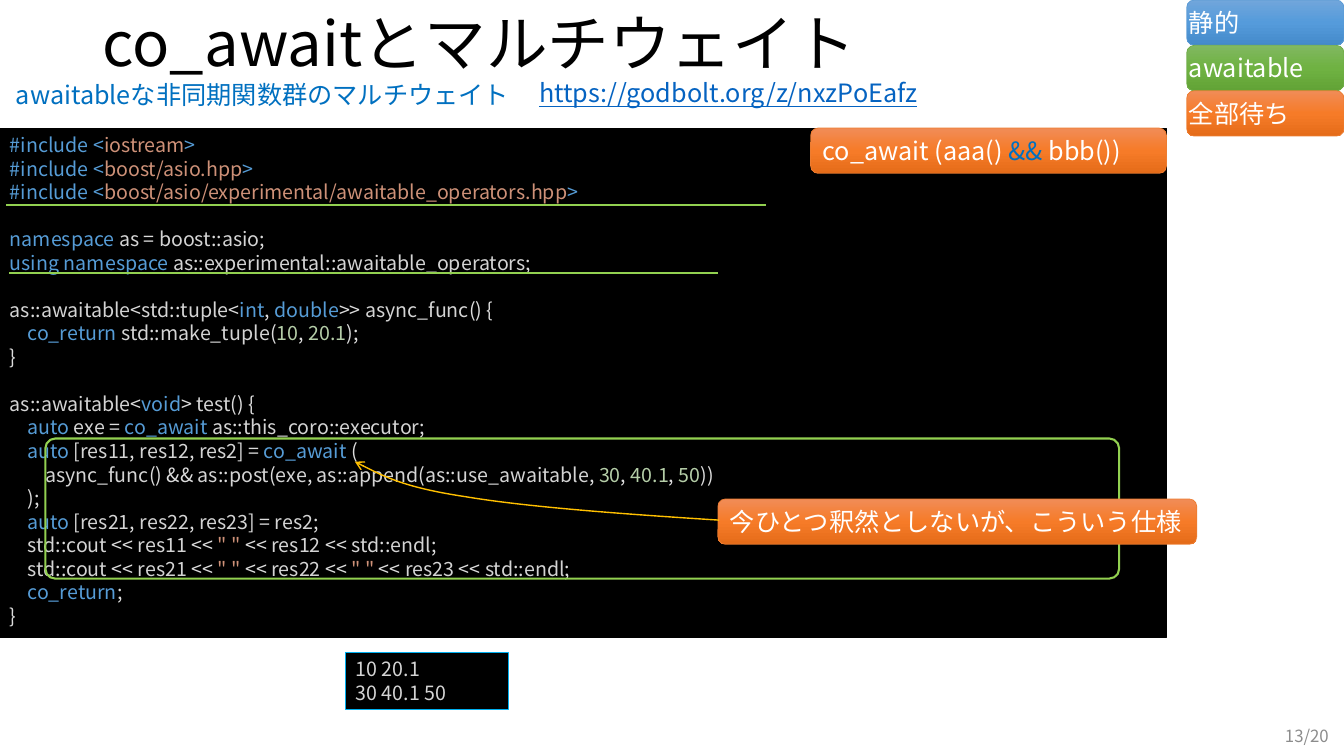
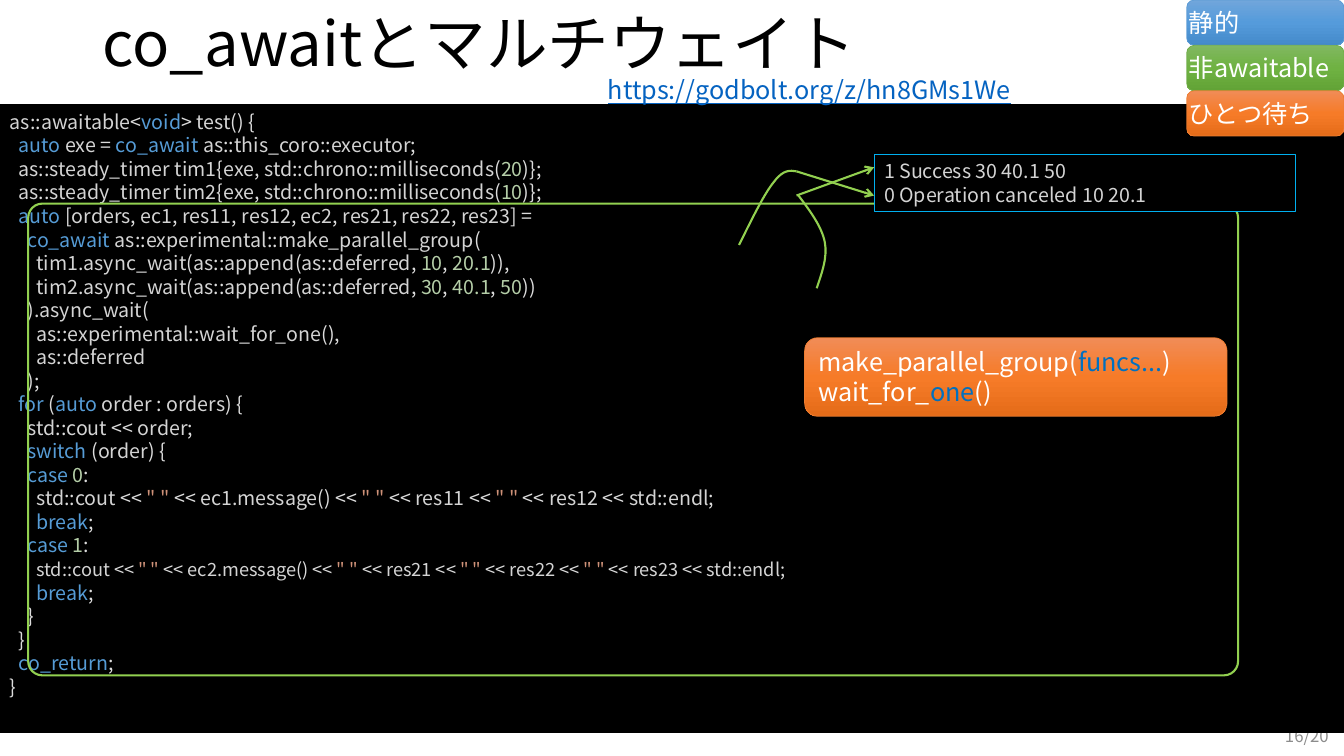
from copy import deepcopy
from itertools import groupby

from lxml import etree
from pptx import Presentation
from pptx.dml.color import RGBColor
from pptx.enum.shapes import MSO_CONNECTOR, MSO_SHAPE
from pptx.enum.text import MSO_ANCHOR, PP_ALIGN
from pptx.oxml.ns import qn
from pptx.util import Pt

PX = 9144  # EMU per px, 100 px to the inch
FONT = "Noto Sans CJK JP"
rgb = RGBColor.from_string

# Shared colours
BLACK, WHITE, BLUE, LINK = "000000", "FFFFFF", "0070C0", "0563C1"
GREY, GREEN, CYAN, AMBER = "8C8C8C", "92D050", "00B0F0", "FFC000"
KEYWORD, LITERAL, NUMBER = "569CD6", "CE9178", "B5CEA8"
PLAIN, SYMBOL = "D4D4D4", "DCDCDC"
ORANGE_BAND = ("F18C57", "F67B28", "E56C19")
BLUE_BAND = ("71A6DB", "559BDB", "448ACA")
GREEN_BAND = ("81B861", "6FB242", "62A336")
KEYWORDS = set("namespace using int double void auto co_return co_await for switch case break".split())

RECT, ROUND = MSO_SHAPE.RECTANGLE, MSO_SHAPE.ROUNDED_RECTANGLE
CALLOUT = dict(kind=ROUND, fill=ORANGE_BAND, line="ED7D31", line_width=0.5)


def add_text(slide, lines, box, size=18, colour=WHITE, kind=None, fill=None, line=None,
             line_width=0.75, adjust=None, margin=10, anchor=MSO_ANCHOR.TOP,
             align=PP_ALIGN.LEFT, spacing=None, underline=None):
    """Add a text box, or a shape of some kind; an empty line becomes a one-line gap."""
    place = [value * PX for value in box]
    if kind is None:
        shape = slide.shapes.add_textbox(*place)
    else:
        shape = slide.shapes.add_shape(kind, *place)
        shape.shadow.inherit = False
        shape.line.color.rgb = rgb(line)
        shape.line.width = Pt(line_width)
        if adjust is not None:
            shape.adjustments[0] = adjust
        if fill is None:
            shape.fill.background()
        elif isinstance(fill, str):
            shape.fill.solid()
            shape.fill.fore_color.rgb = rgb(fill)
        else:
            shape.fill.gradient()
            shape.fill.gradient_angle = 270
            stops = shape.element.spPr.find(".//" + qn("a:gsLst"))
            stops.insert(1, deepcopy(stops[0]))
            for index, stop in enumerate(shape.fill.gradient_stops):
                stop.color.rgb = rgb(fill[index])
                stop.position = index / 2
    frame = shape.text_frame
    frame.word_wrap = True
    frame.vertical_anchor = anchor
    frame.margin_left, frame.margin_right = margin * PX, 0
    frame.margin_top = frame.margin_bottom = 5 * PX
    paragraph, gap = None, False
    for text in lines:
        if not text:
            gap = True
            continue
        paragraph = frame.add_paragraph() if paragraph else frame.paragraphs[0]
        paragraph.alignment = align
        if spacing:
            paragraph.line_spacing = spacing
        if gap:
            paragraph.space_before = Pt(size * 1.2)
        gap = False
        for words, run_colour in [(text, colour)] if isinstance(text, str) else text:
            run = paragraph.add_run()
            run.text = words
            run.font.size = Pt(size)
            run.font.underline = underline
            run.font.color.rgb = rgb(run_colour)
            run.font.name = FONT
            etree.SubElement(run.font._element, qn("a:ea"), typeface=FONT)
    return shape


def draw_line(slide, points, colour, width=1.5, arrow=False):
    """Draw a connector through two points, or a Bézier curve through more."""
    points = [(x * PX, y * PX) for x, y in points]
    if len(points) == 2:
        shape = slide.shapes.add_connector(MSO_CONNECTOR.STRAIGHT, *points[0], *points[1])
    else:
        builder = slide.shapes.build_freeform(*points[0])
        builder.add_line_segments(points[1:], close=False)
        shape = builder.convert_to_shape()
        shape.fill.background()
        segments = list(shape.element.spPr.iter(qn("a:lnTo")))
        for first in range(0, len(segments), 3):
            curve = etree.SubElement(segments[first].getparent(), qn("a:cubicBezTo"))
            for segment in segments[first:first + 3]:
                curve.append(segment[0])
                segment.getparent().remove(segment)
    shape.line.color.rgb = rgb(colour)
    shape.line.width = Pt(width)
    if arrow:
        etree.SubElement(shape.line._get_or_add_ln(), qn("a:tailEnd"), type="arrow")
    etree.SubElement(shape.element.spPr, qn("a:effectLst"))


# Code listings
OPERATORS_CODE = """\
#include <iostream>
#include <boost/asio.hpp>
#include <boost/asio/experimental/awaitable_operators.hpp>

namespace as = boost::asio;
using namespace as::experimental::awaitable_operators;

as::awaitable<std::tuple<int, double>> async_func() {
    co_return std::make_tuple(10, 20.1);
}

as::awaitable<void> test() {
    auto exe = co_await as::this_coro::executor;
    auto [res11, res12, res2] = co_await (
        async_func() && as::post(exe, as::append(as::use_awaitable, 30, 40.1, 50))
    );
    auto [res21, res22, res23] = res2;
    std::cout << res11 << " " << res12 << std::endl;
    std::cout << res21 << " " << res22 << " " << res23 << std::endl;
    co_return;
}"""

WAIT_CODE = """\
as::awaitable<void> test() {
  auto exe = co_await as::this_coro::executor;
  as::steady_timer tim1{exe, std::chrono::milliseconds(20)};
  as::steady_timer tim2{exe, std::chrono::milliseconds(10)};
  auto [orders, ec1, res11, res12, ec2, res21, res22, res23] =
    co_await as::experimental::make_parallel_group(
      tim1.async_wait(as::append(as::deferred, 10, 20.1)),
      tim2.async_wait(as::append(as::deferred, 30, 40.1, 50))
    ).async_wait(
      as::experimental::wait_for_one(),
      as::deferred
    );
"""

REPORT_CODE = """\
  for (auto order : orders) {
    std::cout << order;
    switch (order) {
    case 0:
      std::cout << " " << ec1.message() << " " << res11 << " " << res12 << std::endl;
      break;
    case 1:
      std::cout << " " << ec2.message() << " " << res21 << " " << res22 << " " << res23 << std::endl;
      break;
    }
  }
  co_return;
}"""

pages = [
    dict(number="13/20", url="https://godbolt.org/z/nxzPoEafz", url_box=(525, 72, 485, 40),
         code=OPERATORS_CODE, code_box=(0, 127, 1157, 505),
         tags=["静的", "awaitable", "全部待ち"],
         frame_box=(45, 435, 1065, 139), frame_adjust=0.07,
         output=["10 20.1", "30 40.1 50"], output_box=(343, 647, 161, 57)),
    dict(number="16/20", url="https://godbolt.org/z/hn8GMs1We", url_box=(593, 69, 519, 40),
         code=WAIT_CODE + REPORT_CODE, code_box=(0, 104, 1333, 623),
         tags=["静的", "非awaitable", "ひとつ待ち"],
         frame_box=(28, 202, 1200, 468), frame_adjust=0.03,
         output=["1 Success 30 40.1 50", "0 Operation canceled 10 20.1"],
         output_box=(867, 153, 418, 57)),
]
tag_styles = [(BLUE_BAND, "5B9BD5"), (GREEN_BAND, "70AD47"), (ORANGE_BAND, "ED7D31")]

presentation = Presentation()
presentation.slide_width, presentation.slide_height = 1333 * PX, 750 * PX
slides = []

# Parts found on both slides
for page in pages:
    slide = presentation.slides.add_slide(presentation.slide_layouts[6])
    slides.append(slide)
    add_text(slide, [page["number"]], (1028, 710, 290, 40), size=12, colour=GREY,
             anchor=MSO_ANCHOR.MIDDLE, align=PP_ALIGN.RIGHT)
    add_text(slide, ["co_awaitとマルチウェイト"], (92, 0, 1236, 92), size=44, colour=BLACK,
             anchor=MSO_ANCHOR.MIDDLE, spacing=0.9)

    # Syntax colouring
    code_lines = []
    for code_line in page["code"].splitlines():
        runs = []
        if code_line.startswith("#include"):
            header = code_line[len("#include <"):-1]
            runs = [("#include <", KEYWORD), (header, LITERAL), (">", KEYWORD)]
        else:
            for index, part in enumerate(code_line.split('"')):
                if index % 2:
                    runs.append((f'"{part}"', LITERAL))
                    continue
                for is_word, letters in groupby(part, lambda c: c.isalnum() or c in "_."):
                    token = "".join(letters)
                    if not is_word:
                        token_colour = SYMBOL
                    elif token in KEYWORDS:
                        token_colour = KEYWORD
                    else:
                        token_colour = NUMBER if token[0].isdigit() else PLAIN
                    runs.append((token, token_colour))
        code_lines.append(runs)
    listing = add_text(slide, code_lines, page["code_box"], size=14, kind=RECT,
                       fill=BLACK, line=BLACK)
    for paragraph in listing.text_frame.paragraphs:
        if "ec2.message" in paragraph.text:
            for run in paragraph.runs[1:]:
                run.font.size = Pt(13)

    add_text(slide, [page["url"]], page["url_box"], colour=LINK, underline=True)
    add_text(slide, [], page["frame_box"], kind=ROUND, line=GREEN, line_width=1.5,
             adjust=page["frame_adjust"])
    add_text(slide, page["output"], page["output_box"], size=14, colour=PLAIN, kind=RECT,
             fill=BLACK, line=CYAN)
    for row, (tag, (band, edge)) in enumerate(zip(page["tags"], tag_styles)):
        add_text(slide, [tag], (1177, row * 45, 156, 45), kind=ROUND, fill=band, line=edge,
                 line_width=0.5, margin=0)

operators_slide, parallel_slide = slides

# Operators slide: subtitle, underlines and callouts
add_text(operators_slide, ["awaitableな非同期関数群のマルチウェイト"], (6, 74, 519, 40), colour=BLUE)
for left, right, y in [(6, 760, 203), (9, 712, 271)]:
    draw_line(operators_slide, [(left, y), (right, y)], GREEN)
add_text(operators_slide, ["今ひとつ釈然としないが、こういう仕様"], (712, 495, 475, 45), **CALLOUT)
draw_line(operators_slide, [(713, 516), (618, 510), (523, 503), (463, 493),
                            (403, 484), (377, 471), (352, 458)], AMBER, width=1, arrow=True)
add_text(operators_slide, [[("co_await (aaa() ", WHITE), ("&& ", BLUE), ("bbb())", WHITE)]],
         (804, 127, 353, 45), **CALLOUT)

# Parallel slide: callout and crossing arrows to the output
add_text(parallel_slide, [[("make_parallel_group(", WHITE), ("funcs...", BLUE), (")", WHITE)],
                          [("wait_for_", WHITE), ("one", BLUE), ("()", WHITE)]],
         (798, 335, 419, 78), **CALLOUT)
for start, end in [((790, 170), (867, 194)), ((790, 194), (867, 166))]:
    draw_line(parallel_slide, [start, end], GREEN, arrow=True)
draw_line(parallel_slide, [(810, 286), (815, 271), (821, 255), (818, 240),
                           (815, 225), (804, 210), (792, 194)], GREEN)
draw_line(parallel_slide, [(733, 243), (746, 217), (758, 192), (768, 180),
                           (777, 168), (784, 169), (790, 170)], GREEN)

presentation.save("out.pptx")
